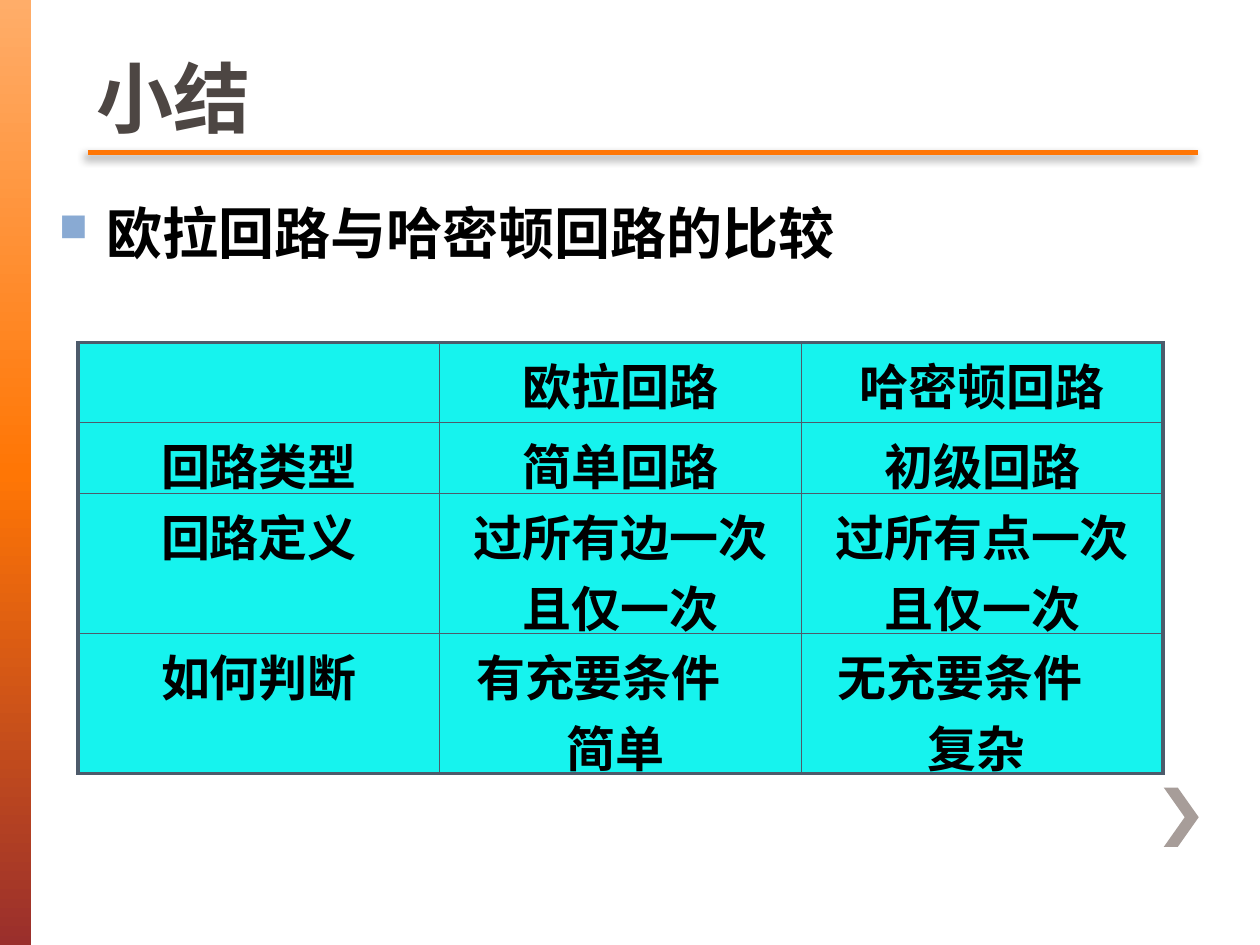
from lxml import etree
from pptx import Presentation
from pptx.dml.color import RGBColor
from pptx.enum.shapes import MSO_CONNECTOR, MSO_SHAPE
from pptx.enum.text import MSO_ANCHOR, PP_ALIGN
from pptx.oxml import parse_xml
from pptx.oxml.ns import nsdecls, qn
from pptx.util import Pt

CENTER = PP_ALIGN.CENTER
LEFT = PP_ALIGN.LEFT
MIDDLE, BOTTOM = MSO_ANCHOR.MIDDLE, MSO_ANCHOR.BOTTOM
RECTANGLE, STRAIGHT = MSO_SHAPE.RECTANGLE, MSO_CONNECTOR.STRAIGHT

COLORS = {
    "title": "4D4643", "text": "000000", "bullet": "89AAD3", "cell": "16F3EE",
    "border": "4D5B6B", "orange": "FF7605", "peach": "FFAD69", "red": "9A2F2C",
    "chevron": "A79D99", "shadow": "000000",
}
FORMATS = {
    "title": {"name": "Arial", "size": Pt(44), "bold": True},
    "point": {"name": "Times New Roman", "size": Pt(32), "bold": True},
    "cell": {"name": "Times New Roman", "size": Pt(28), "bold": True},
}
ROWS = [
    ["", "欧拉回路", "哈密顿回路"],
    ["回路类型", "简单回路", "初级回路"],
    ["回路定义", "过所有边一次且仅一次", "过所有点一次且仅一次"],
    ["如何判断", "有充要条件\n简单", "无充要条件\n复杂"],
]
ROW_HEIGHTS = [45.6, 40.6, 80, 80]


def color(name):
    return RGBColor.from_string(COLORS[name])


def write(para, text, style, color_name, align=LEFT):
    para.alignment = align
    span = para.add_run()
    span.text = text
    for key, value in FORMATS[style].items():
        setattr(span.font, key, value)
    span.font.color.rgb = color(color_name)


def add_text_frame(page, box, anchor):
    frame = page.shapes.add_textbox(*map(Pt, box)).text_frame
    frame.word_wrap = True
    frame.vertical_anchor = anchor
    return frame


def add_side_band(page, box):
    band = page.shapes.add_shape(RECTANGLE, *map(Pt, box))
    band.shadow.inherit = False
    band.line.fill.background()
    stops = "".join(
        f'<a:gs pos="{place * 1000}"><a:srgbClr val="{COLORS[name]}"/></a:gs>'
        for place, name in [(0, "peach"), (50, "orange"), (100, "red")])
    gradient = parse_xml(
        f'<a:gradFill {nsdecls("a")}><a:gsLst>{stops}</a:gsLst>'
        '<a:lin ang="5400000" scaled="0"/></a:gradFill>')
    band.element.spPr.find(qn("a:prstGeom")).addnext(gradient)


def add_chevron(page, box):
    left, top, width, height = box
    right, middle, bottom = left + width, top + height / 2, top + height
    arm = width * 0.41
    outline = [(left, top), (right - arm, middle), (left, bottom),
               (left + arm, bottom), (right, middle)]
    builder = page.shapes.build_freeform(left + arm, top, scale=Pt(1))
    builder.add_line_segments(outline, close=True)
    chevron = builder.convert_to_shape()
    chevron.shadow.inherit = False
    chevron.fill.solid()
    chevron.fill.fore_color.rgb = color("chevron")
    chevron.line.fill.background()


def add_title(page, box):
    left, top, width, height = box
    # Rule under the title, with a soft shadow
    rule_y = top + height + 5.8
    rule = page.shapes.add_connector(
        STRAIGHT, Pt(left + 2), Pt(rule_y), Pt(left + 636.5), Pt(rule_y))
    rule.line.color.rgb = color("orange")
    rule.line.width = Pt(2.5)
    rule.element.spPr.append(parse_xml(
        f'<a:effectLst {nsdecls("a")}><a:outerShdw blurRad="{Pt(5)}" '
        f'dist="{Pt(3)}" dir="8100000" rotWithShape="0">'
        f'<a:srgbClr val="{COLORS["shadow"]}"><a:alpha val="45000"/></a:srgbClr>'
        '</a:outerShdw></a:effectLst>'))
    frame = add_text_frame(page, box, BOTTOM)
    frame.margin_bottom = 0
    write(frame.paragraphs[0], "小结", "title", "title")


def add_point(page, box):
    para = add_text_frame(page, box, MIDDLE).paragraphs[0]
    props = para._p.get_or_add_pPr()
    props.set("marL", str(Pt(27)))
    props.set("indent", str(Pt(-27)))
    bullet_color = etree.SubElement(props, qn("a:buClr"))
    etree.SubElement(bullet_color, qn("a:srgbClr"), val=COLORS["bullet"])
    etree.SubElement(props, qn("a:buSzPct"), val="70000")
    etree.SubElement(props, qn("a:buChar"), char="■")
    write(para, "欧拉回路与哈密顿回路的比较", "point", "text")


def set_borders(cell, widths):
    props = cell._tc.get_or_add_tcPr()
    for place, (side, width) in enumerate(widths.items()):
        props.insert(place, parse_xml(
            f'<a:ln{side} {nsdecls("a")} w="{Pt(width)}"><a:solidFill>'
            f'<a:srgbClr val="{COLORS["border"]}"/></a:solidFill></a:ln{side}>'))


def fill_cell(cell, text):
    cell.fill.solid()
    cell.fill.fore_color.rgb = color("cell")
    # Equal and opposite margins let the text sit low in a tight row
    cell.margin_top, cell.margin_bottom = Pt(3.6), Pt(-3.6)
    lines = text.split("\n")
    for number, line in enumerate(lines):
        frame = cell.text_frame
        para = frame.add_paragraph() if number else frame.paragraphs[0]
        if number:
            para._p.get_or_add_pPr().set("marL", str(Pt(19)))
        write(para, line, "cell", "text", CENTER)
    if len(lines) > 1:
        cell.margin_right = Pt(32.4)


def add_comparison(page, box):
    last_row, last_column = len(ROWS) - 1, len(ROWS[0]) - 1
    table = page.shapes.add_table(
        len(ROWS), len(ROWS[0]), *map(Pt, box)).table
    table.first_row = table.horz_banding = False
    for column in table.columns:
        column.width = Pt(box[2] / len(ROWS[0]))
    for r, texts in enumerate(ROWS):
        table.rows[r].height = Pt(ROW_HEIGHTS[r])
        for c, text in enumerate(texts):
            cell = table.cell(r, c)
            fill_cell(cell, text)
            edges = {"L": c == 0, "R": c == last_column,
                     "T": r == 0, "B": r == last_row}
            set_borders(cell, {side: 2.25 if outer else 1
                               for side, outer in edges.items()})


def main():
    deck = Presentation()
    deck.slide_width, deck.slide_height = Pt(720), Pt(540)
    page = deck.slides.add_slide(deck.slide_layouts[6])
    add_side_band(page, (0, 0, 18, 540))
    add_chevron(page, (665.3, 450, 19.4, 34))
    add_point(page, (26.6, 110.2, 494, 45.4))
    add_comparison(page, (44.6, 195.8, 620, sum(ROW_HEIGHTS)))
    add_title(page, (48.2, 0, 634.3, 81.4))
    deck.save("out.pptx")


if __name__ == "__main__":
    main()
